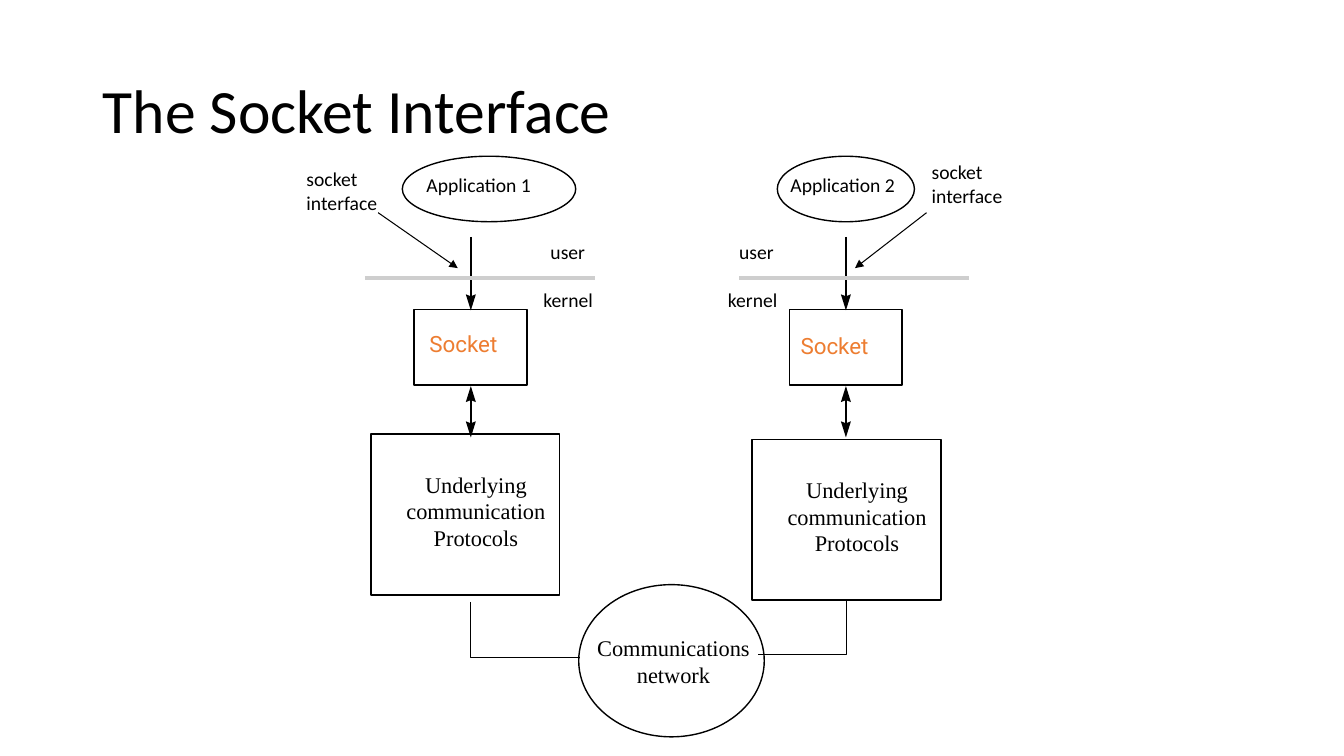
from pptx import Presentation, util as u
from pptx.dml.color import RGBColor
from pptx.enum import shapes, text
from pptx.oxml.ns import qn
from lxml import etree

# Content
TITLE = "The Socket Interface"
NETWORK = "Communications network"
PROTOCOLS = "Underlying communication Protocols"
COLORS = {"ink": "000000", "boundary": "CECECE", "socket": "ED7D31"}

# Each host: axis of its arrows, then the places of its parts (inches)
HOSTS = [
    {"axis": 4.67, "app": "Application 1", "oval": (3.99, 1.72),
     "app_at": (4.23, 1.72), "socket_left": 4.11, "socket_at": (4.26, 3.28),
     "stack": (3.68, 4.31), "boundary": 3.62, "user": 5.46, "kernel": 5.39,
     "note": (3.04, 1.66), "pointer": (3.75, 4.54),
     "link": [(4.67, 5.97), (4.67, 6.52), (5.75, 6.52)]},
    {"axis": 8.39, "app": "Application 2", "oval": (7.71, 1.36),
     "app_at": (7.84, 1.72), "socket_left": 7.83, "socket_at": (7.94, 3.29),
     "stack": (7.46, 4.36), "boundary": 7.33, "user": 7.33, "kernel": 7.22,
     "note": (9.24, 1.59), "pointer": (9.19, 8.48),
     "link": [(8.4, 5.96), (8.4, 6.49), (7.52, 6.49)]},
]

deck = Presentation()
deck.slide_width, deck.slide_height = u.Inches(13.33), u.Inches(7.5)
page = deck.slides.add_slide(deck.slide_layouts[5])


def color(name):
    return RGBColor.from_string(COLORS[name])


def outline(kind, left, top, width, height, weight):
    box = page.shapes.add_shape(kind, *map(u.Inches, (left, top, width, height)))
    box.shadow.inherit = False
    box.fill.background()
    box.line.color.rgb = color("ink")
    box.line.width = u.Pt(weight)


def style(para, size, font, ink="ink"):
    para.font.size, para.font.name = u.Pt(size), font
    para.font.color.rgb = color(ink)


def label(words, left, top, width, height, size=14, font="Calibri", ink="ink"):
    box = page.shapes.add_textbox(*map(u.Inches, (left, top, width, height)))
    frame = box.text_frame
    frame.word_wrap = True
    frame.text = words
    style(frame.paragraphs[0], size, font, ink)
    return frame


def plain_label(*args, **kwargs):
    frame = label(*args, **kwargs)
    frame.margin_left = frame.margin_right = 0
    frame.margin_top = frame.margin_bottom = 0


def centred_label(words, left, top, width, height):
    frame = label(words, left, top, width, height, 16, "Times New Roman")
    frame.vertical_anchor = text.MSO_ANCHOR.MIDDLE
    frame.paragraphs[0].alignment = text.PP_ALIGN.CENTER


def line(x1, y1, x2, y2, weight, ink="ink", arrow=False):
    rule = page.shapes.add_connector(
        shapes.MSO_CONNECTOR.STRAIGHT, *map(u.Inches, (x1, y1, x2, y2)))
    rule.line.color.rgb = color(ink)
    rule.line.width = u.Pt(weight)
    if arrow:
        etree.SubElement(rule.line._get_or_add_ln(), qn("a:tailEnd"), type="triangle")
    etree.SubElement(rule._element.spPr, qn("a:effectLst"))


def freeform(points, close):
    points = [(u.Inches(x), u.Inches(y)) for x, y in points]
    builder = page.shapes.build_freeform(*points[0])
    builder.add_line_segments(points[1:], close=close)
    shape = builder.convert_to_shape()
    shape.shadow.inherit = False
    return shape


def arrowhead(x, tip, way):
    """Barbed head; way is 1 for down and -1 for up."""
    back, notch = tip - 0.16 * way, tip - 0.14 * way
    head = freeform([(x - 0.05, back), (x, notch), (x + 0.05, back), (x, tip)], True)
    head.fill.solid()
    head.fill.fore_color.rgb = color("ink")
    head.line.fill.background()


# Title
title = page.shapes.title
title.left, title.top, title.width, title.height = map(u.Inches, (0.92, 0.4, 11.5, 1.45))
title.text_frame.text = TITLE
title.text_frame.vertical_anchor = text.MSO_ANCHOR.MIDDLE
heading = title.text_frame.paragraphs[0]
heading.alignment = text.PP_ALIGN.LEFT
heading.line_spacing = 0.9
style(heading, 44, "Calibri")

# Hosts, from application down to network
OVAL, RECT = shapes.MSO_SHAPE.OVAL, shapes.MSO_SHAPE.RECTANGLE
for host in HOSTS:
    axis = host["axis"]
    left, width = host["oval"]
    outline(OVAL, left, 1.55, width, 0.65, 1)
    plain_label(host["app"], *host["app_at"], 1.25, 0.29)

    outline(RECT, host["socket_left"], 3.07, 1.12, 0.75, 1.35)
    plain_label("Socket", *host["socket_at"], 0.94, 0.32,
                size=16, font="Roboto", ink="socket")
    left, top = host["stack"]
    outline(RECT, left, top, 1.87, 1.59, 1.35)
    centred_label(PROTOCOLS, left + 0.18, top + 0.31, 1.72, 0.9)

    for start, end in [(2.35, 2.96), (3.94, 4.22)]:
        line(axis, start, axis, end, 1.35)
    for tip, way in [(3.08, 1), (3.83, -1), (4.34, 1)]:
        arrowhead(axis, tip, way)

    line(host["boundary"], 2.76, host["boundary"] + 2.28, 2.76, 2.7, "boundary")
    plain_label("user", host["user"], 2.38, 0.42, 0.27)
    plain_label("kernel", host["kernel"], 2.86, 0.7, 0.27)
    plain_label("socket interface", *host["note"], 0.86, 0.47)
    start, end = host["pointer"]
    line(start, 2.11, end, 2.66, 0.75, arrow=True)

    link = freeform(host["link"], False)
    link.fill.background()
    link.line.color.rgb = color("ink")
    link.line.width = u.Pt(0.7)

# Network
outline(OVAL, 5.74, 5.8, 1.84, 1.51, 1)
centred_label(NETWORK, 5.71, 6.24, 1.94, 0.64)

deck.save("out.pptx")
